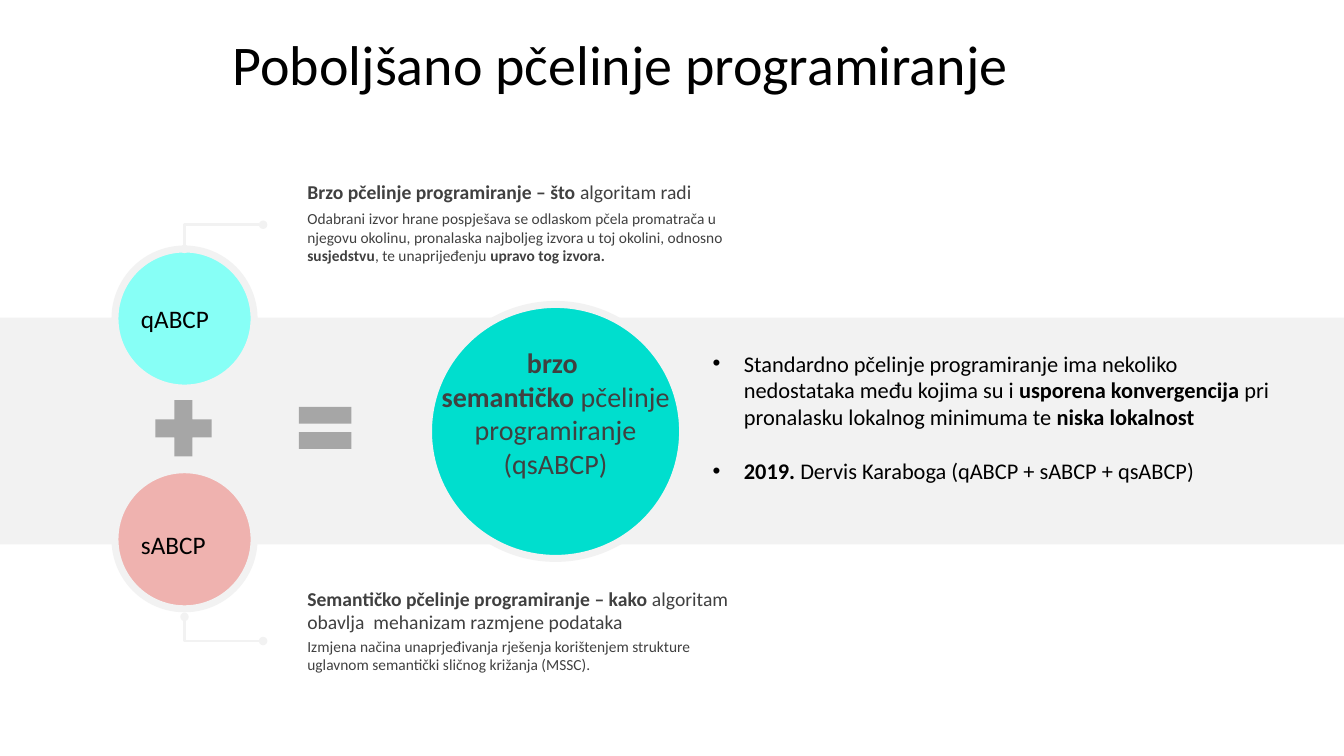
from dataclasses import dataclass

from lxml import etree
from pptx import Presentation
from pptx.dml.color import RGBColor
from pptx.enum.shapes import MSO_CONNECTOR, MSO_SHAPE
from pptx.enum.text import MSO_ANCHOR, PP_ALIGN
from pptx.oxml.ns import qn
from pptx.util import Inches, Pt

RECT, OVAL = MSO_SHAPE.RECTANGLE, MSO_SHAPE.OVAL
PLUS, EQUAL = MSO_SHAPE.MATH_PLUS, MSO_SHAPE.MATH_EQUAL
ELBOW = MSO_CONNECTOR.ELBOW
MIDDLE, TOP = MSO_ANCHOR.MIDDLE, MSO_ANCHOR.TOP
LEFT, CENTER = PP_ALIGN.LEFT, PP_ALIGN.CENTER


@dataclass(frozen=True)
class Theme:
    font: str = "Calibri"
    black: str = "000000"
    dark: str = "404040"
    gray: str = "A6A6A6"
    pale: str = "F2F2F2"
    aqua: str = "87FFF6"
    pink: str = "EFB2AF"
    teal: str = "00DECE"
    title: int = 40
    result: int = 20
    label: int = 18
    body: int = 16
    head: int = 14
    note: int = 11
    ring: int = 5
    wire: int = 2


T = Theme()


def rgb(code):
    return RGBColor.from_string(code)


def add_form(slide, kind, box, fill, ring=False):
    shape = slide.shapes.add_shape(kind, *map(Inches, box))
    shape.shadow.inherit = False
    shape.fill.solid()
    shape.fill.fore_color.rgb = rgb(fill)
    if ring:
        shape.line.color.rgb = rgb(T.pale)
        shape.line.width = Pt(T.ring)
    else:
        shape.line.fill.background()


def add_bullet(para):
    props = para._p.get_or_add_pPr()
    props.set("marL", str(Inches(0.31)))
    props.set("indent", str(-Inches(0.31)))
    etree.SubElement(props, qn("a:buFont")).set("typeface", "Arial")
    etree.SubElement(props, qn("a:buChar")).set("char", "•")


def add_text(slide, box, paras, size, color=T.dark, align=LEFT,
             anchor=TOP, bullet=False, gap=0, pitch=None):
    frame = slide.shapes.add_textbox(*map(Inches, box)).text_frame
    frame.word_wrap = True
    frame.vertical_anchor = anchor
    for i, parts in enumerate(paras):
        para = frame.add_paragraph() if i else frame.paragraphs[0]
        para.alignment = align
        if pitch:
            para.line_spacing = pitch
        if i and gap:
            para.space_before = Pt(gap)
        if bullet:
            add_bullet(para)
        para.font.name = T.font
        para.font.size = Pt(size)
        para.font.color.rgb = rgb(color)
        for text, bold in parts:
            run = para.add_run()
            run.text = text
            run.font.bold = bold


def add_wire(slide, start, end):
    wire = slide.shapes.add_connector(ELBOW, *map(Inches, start + end))
    wire.line.color.rgb = rgb(T.pale)
    wire.line.width = Pt(T.wire)
    props = wire._element.spPr
    props.find(qn("a:prstGeom")).set("prst", "bentConnector2")
    line = props.find(qn("a:ln"))
    for tag in ("a:headEnd", "a:tailEnd"):
        etree.SubElement(line, qn(tag)).set("type", "oval")
    etree.SubElement(props, qn("a:effectLst"))


def add_title(slide, box):
    add_text(slide, box, [[("Poboljšano pčelinje programiranje", False)]],
             T.title, T.black, anchor=MIDDLE, pitch=0.9)


def add_term(slide, box, name, fill, drop):
    x, y, w, h = box
    add_form(slide, OVAL, box, fill, ring=True)
    add_text(slide, (x + 0.16, y + drop, 1.1, 0.4), [[(name, False)]],
             T.label, T.black)


def add_result(slide, box):
    x, y, w, h = box
    add_form(slide, OVAL, box, T.teal, ring=True)
    add_text(slide, (x, y + 0.36, w, 1.78), [
        [("brzo ", True)],
        [("semantičko ", True), ("pčelinje programiranje", False)],
        [("(qsABCP)", False)],
    ], T.result, align=CENTER)


def add_facts(slide, box):
    add_text(slide, box, [
        [("Standardno pčelinje programiranje ima nekoliko nedostataka "
          "među kojima su i ", False),
         ("usporena konvergencija", True),
         (" pri pronalasku lokalnog minimuma te ", False),
         ("niska lokalnost", True)],
        [("2019. ", True),
         ("Dervis Karaboga (qABCP + sABCP + qsABCP)", False)],
    ], T.body, T.black, bullet=True, gap=19.5)


def add_note(slide, box, head, body, drop):
    x, y, w, h = box
    add_text(slide, (x, y, 5.01, drop), head, T.head)
    add_text(slide, (x, y + drop, w, h - drop), body, T.note)


def add_sum(slide, box):
    x, y, w, h = box
    add_form(slide, RECT, box, T.pale)
    add_term(slide, (x + 1.14, y - 0.68, 1.38, 1.38), "qABCP", T.aqua, 0.49)
    add_term(slide, (x + 1.14, y + 1.51, 1.38, 1.38), "sABCP", T.pink, 0.54)
    add_form(slide, PLUS, (x + 1.44, y + 0.72, 0.76, 0.76), T.gray)
    add_form(slide, EQUAL, (x + 2.87, y + 0.74, 0.71, 0.71), T.gray)
    add_result(slide, (x + 4.25, y - 0.13, 2.52, 2.52))
    add_facts(slide, (x + 6.97, y + 0.27, 5.92, 1.72))
    for bend, end in ((-0.92, -0.68), (3.21, 2.97)):
        add_wire(slide, (x + 2.61, y + bend), (x + 1.83, y + end))


def main():
    deck = Presentation()
    deck.slide_width, deck.slide_height = Inches(13.33), Inches(7.5)
    slide = deck.slides.add_slide(deck.slide_layouts[6])
    add_title(slide, (2.21, -0.06, 9.97, 1.45))
    add_sum(slide, (0, 3.15, 13.33, 2.25))
    add_note(slide, (2.95, 1.74, 4.71, 1.13), [
        [("Brzo pčelinje programiranje – što ", True),
         ("algoritam radi", False)],
    ], [
        [("Odabrani izvor hrane pospješava se odlaskom pčela promatrača u "
          "njegovu okolinu, pronalaska najboljeg izvora u toj okolini, "
          "odnosno ", False),
         ("susjedstvu", True), (", te unaprijeđenju ", False),
         ("upravo tog izvora.", True)],
    ], 0.29)
    add_note(slide, (2.95, 5.77, 4.29, 0.97), [
        [("Semantičko pčelinje programiranje – kako ", True),
         ("algoritam", False)],
        [("obavlja  mehanizam razmjene podataka", False)],
    ], [
        [("Izmjena načina unaprjeđivanja rješenja korištenjem strukture "
          "uglavnom semantički sličnog križanja (MSSC).", False)],
    ], 0.5)
    deck.save("out.pptx")


if __name__ == "__main__":
    main()
